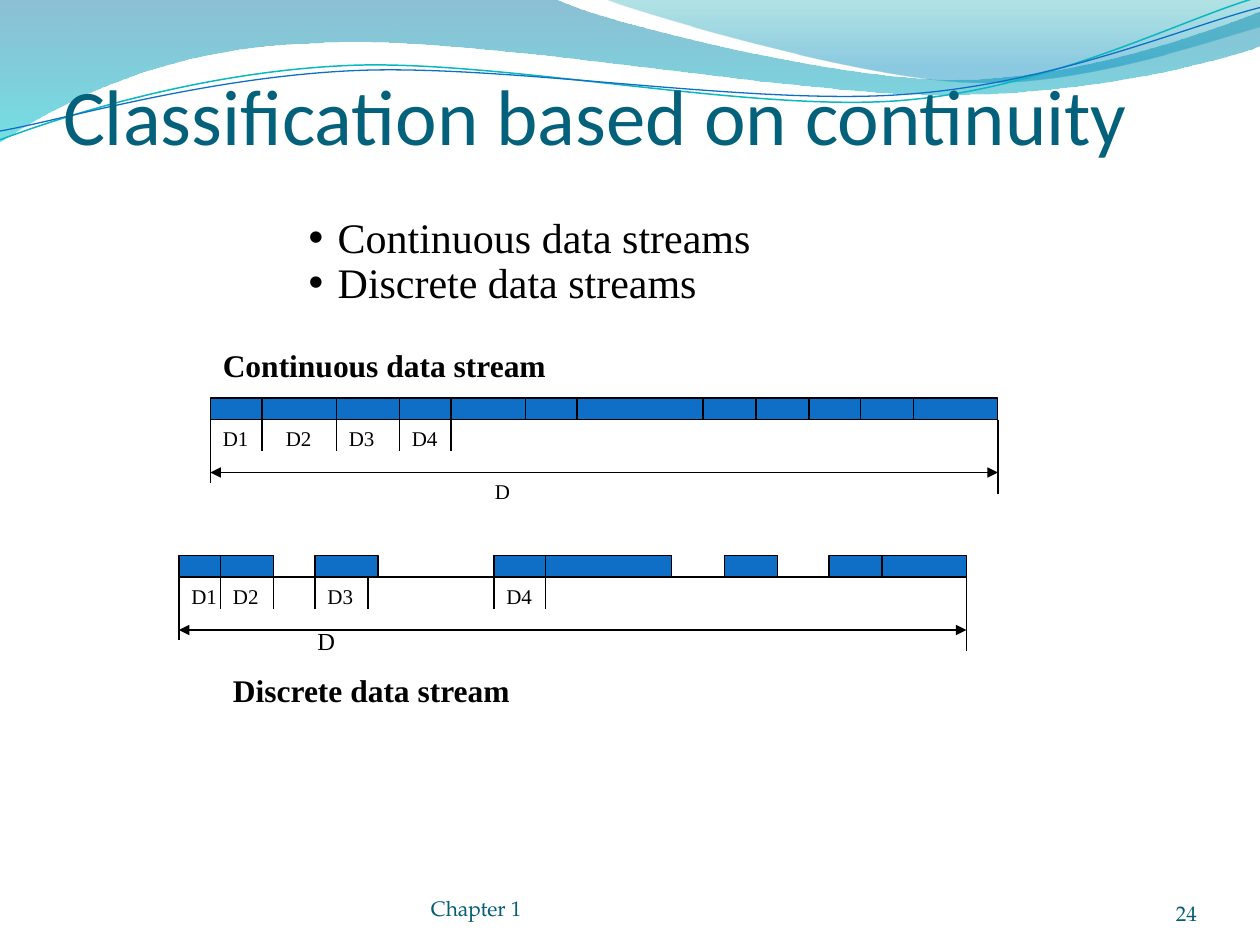
from itertools import pairwise

from lxml.etree import SubElement
from pptx import Presentation
from pptx.dml.color import RGBColor
from pptx.enum.shapes import MSO_CONNECTOR, MSO_SHAPE
from pptx.enum.text import MSO_ANCHOR, MSO_AUTO_SIZE, PP_ALIGN
from pptx.oxml.ns import qn
from pptx.util import Inches, Pt

SERIF = "Times New Roman"
FOOTER = {"size": 12, "font": "TeX Gyre Pagella", "color": "045D75",
          "anchor": MSO_ANCHOR.BOTTOM, "margins": (0, 0, 0, 0)}
color_of = RGBColor.from_string

deck = Presentation()
deck.slide_width, deck.slide_height = Inches(10), Inches(7.5)
slide = deck.slides.add_slide(deck.slide_layouts[1])
shapes = slide.shapes


def write(text, box, holder=None, size=12, font=SERIF, color="000000", bold=False,
          align=PP_ALIGN.LEFT, anchor=MSO_ANCHOR.TOP, margins=(0.1, 0.05, 0.1, 0.05), wrap=True):
    """Put text in a placeholder or a new text box, and return its text frame."""
    box = [Inches(v) for v in box]
    if holder is None:
        holder = shapes.add_textbox(*box)
    holder.left, holder.top, holder.width, holder.height = box
    frame = holder.text_frame
    frame.text = text
    frame.auto_size = MSO_AUTO_SIZE.NONE
    frame.word_wrap, frame.vertical_anchor = wrap, anchor
    (frame.margin_left, frame.margin_top,
     frame.margin_right, frame.margin_bottom) = [Inches(m) for m in margins]
    for paragraph in frame.paragraphs:
        paragraph.alignment = align
        style = paragraph.runs[0].font
        style.size, style.name, style.bold = Pt(size), font, bold
        style.color.rgb = color_of(color)
    return frame


def draw_line(x1, y1, x2, y2, arrows=False):
    """Draw a thin black line, with an arrowhead at both ends if asked."""
    line = shapes.add_connector(MSO_CONNECTOR.STRAIGHT, *[Inches(v) for v in (x1, y1, x2, y2)])
    line.line.color.rgb = color_of("000000")
    line.line.width = Pt(0.75)
    if arrows:
        for end in ("a:headEnd", "a:tailEnd"):
            SubElement(line.line._get_or_add_ln(), qn(end), type="triangle")
    SubElement(line._element.spPr, qn("a:effectLst"))


# Wave decoration: a start point, then points (2 values) or Bezier curves (6 values)
waves = [
    {"gradient": [(0, "0074A1", 45), (1, "00C6CF", 55)],
     "outline": [(0, 0), (4.4, -0.01), (4.76, 0.17, 6.64, 0.63, 7.58, 0.63),
                 (8.53, 0.63, 9.58, 0.26, 10, 0.09), (10.01, 0.36),
                 (9.83, 0.44, 8.7, 0.76, 7.46, 0.75), (6.22, 0.75, 3.82, 0.28, 2.57, 0.34),
                 (1.29, 0.36, 0.46, 0.83, -0.01, 1.13), (0, 0)]},
    {"gradient": [(0, "00A1A9", 30), (0.8, "008BBF", 45)],
     "outline": [(4.79, -0.01), (5.09, 0.11, 6.82, 0.62, 7.69, 0.65),
                 (8.56, 0.69, 9.61, 0.32, 10, 0.21), (10, 0), (4.79, -0.01)]},
    {"stroke": ("0AB8BF", 0.85),
     "outline": [(0, 1.11), (0.48, 0.93, 1.58, 0.57, 2.77, 0.52),
                 (3.95, 0.47, 5.93, 0.89, 7.13, 0.8), (8.33, 0.71, 9.38, 0.15, 9.98, -0.02)]},
    {"stroke": ("0F6FC6", 0.75),
     "outline": [(0, 1.04), (0.47, 0.96, 1.64, 0.61, 2.83, 0.56),
                 (4.03, 0.51, 5.97, 0.84, 7.17, 0.75), (8.36, 0.67, 9.41, 0.21, 10, 0.06)]},
]
for depth, wave in enumerate(waves):
    outline = wave["outline"]
    corners = [(Inches(part[-2]), Inches(part[-1])) for part in outline]
    builder = shapes.build_freeform(*corners[0])
    builder.add_line_segments(corners[1:], close="gradient" in wave)
    ribbon = builder.convert_to_shape()
    # Turn the straight segments that have control points into curves
    for segment, part in zip(list(ribbon.element.iter(qn("a:lnTo"))), outline[1:]):
        if len(part) == 6:
            curve = segment.makeelement(qn("a:cubicBezTo"))
            for x, y in zip(part[::2], part[1::2]):
                SubElement(curve, qn("a:pt"), x=str(Inches(x) - ribbon.left),
                           y=str(Inches(y) - ribbon.top))
            segment.getparent().replace(segment, curve)
    ribbon.shadow.inherit = False
    if "gradient" in wave:
        ribbon.line.fill.background()
        ribbon.fill.gradient()
        ribbon.fill.gradient_angle = 270
        for stop, (position, tint, _) in zip(ribbon.fill.gradient_stops, wave["gradient"]):
            stop.position = position
            stop.color.rgb = color_of(tint)
        for tint, (_, _, opacity) in zip(ribbon.element.iter(qn("a:srgbClr")), wave["gradient"]):
            SubElement(tint, qn("a:alpha"), val=str(opacity * 1000))
    else:
        ribbon.fill.background()
        ribbon.line.color.rgb = color_of(wave["stroke"][0])
        ribbon.line.width = Pt(wave["stroke"][1])
    shapes.element.insert(2 + depth, ribbon.element)  # behind the text

# Title, list and footer; the title keeps one line free below it
write("Classification based on continuity", (0.5, 0.77, 9.08, 1.25), holder=shapes.title,
      size=45, font="Calibri", color="04617B", anchor=MSO_ANCHOR.BOTTOM,
      margins=(0, 0.05, 0, 0.74))
kinds = write("Continuous data streams\nDiscrete data streams", (1.08, 1.67, 7.75, 1.23),
              holder=slide.placeholders[1], size=24)
for kind in kinds.paragraphs:
    kind.level = 3
    kind.line_spacing = 0.9
    kind.space_before = Pt(0)
    properties = kind._p.get_or_add_pPr()
    properties.set("marL", str(Inches(1.5)))
    properties.set("indent", str(-Inches(0.23)))
    SubElement(properties, qn("a:buChar"), char="•")
write("Chapter 1", (3.42, 6.81, 3.83, 0.5), **FOOTER)
write("24", (8.67, 6.95, 0.83, 0.4), align=PP_ALIGN.RIGHT, **FOOTER)

# The two data streams
STREAM_WIDTH, BLOCK_HEIGHT = 6.25, 0.17
edges = [1.67, 2.08, 2.67, 3.17, 3.58, 4.17, 4.58, 5.58, 6, 6.42, 6.83, 7.25, 7.92]
streams = [
    {"heading": "Continuous data stream", "heading_box": (1.67, 2.7, 2.77, 0.4),
     "start": 1.67, "base": 3.33, "blocks": list(pairwise(edges)),
     "ticks": edges[1:5], "labels": [1.67, 2.17, 2.67, 3.17],
     "total_box": (3.83, 3.75, 0.42, 0.3), "total_size": 12},
    {"heading": "Discrete data stream", "heading_box": (1.75, 5.28, 2.41, 0.4),
     "start": 1.42, "base": 4.58,
     "blocks": [(1.42, 1.84), (1.75, 2.17), (2.5, 3), (3.92, 4.33), (4.33, 5.33),
                (5.75, 6.17), (6.58, 7), (7, 7.67)],
     "ticks": [1.75, 2.17, 2.5, 2.92, 3.92, 4.33], "labels": [1.42, 1.75, 2.5, 3.92],
     "total_box": (2.42, 4.92, 0.32, 0.33), "total_size": 14},
]
for stream in streams:
    start, base = stream["start"], stream["base"]
    end = start + STREAM_WIDTH
    draw_line(start, base, end, base)
    for left, right in stream["blocks"]:
        block = shapes.add_shape(MSO_SHAPE.RECTANGLE, Inches(left), Inches(base - BLOCK_HEIGHT),
                                 Inches(right - left), Inches(BLOCK_HEIGHT))
        block.shadow.inherit = False
        block.fill.solid()
        block.fill.fore_color.rgb = color_of("0F6FC6")
        block.line.color.rgb = color_of("000000")
        block.line.width = Pt(0.75)
    draw_line(start, base, start, base + 0.5)
    draw_line(end, base, end, base + 0.59)
    draw_line(start, base + 0.42, end, base + 0.42, arrows=True)
    for tick in stream["ticks"]:
        draw_line(tick, base, tick, base + 0.25)
    for number, left in enumerate(stream["labels"], 1):
        write(f"D{number}", (left, base, 0.42, 0.3))
    write("D", stream["total_box"], size=stream["total_size"])
    write(stream["heading"], stream["heading_box"], size=18, bold=True, wrap=False)

deck.save("out.pptx")
